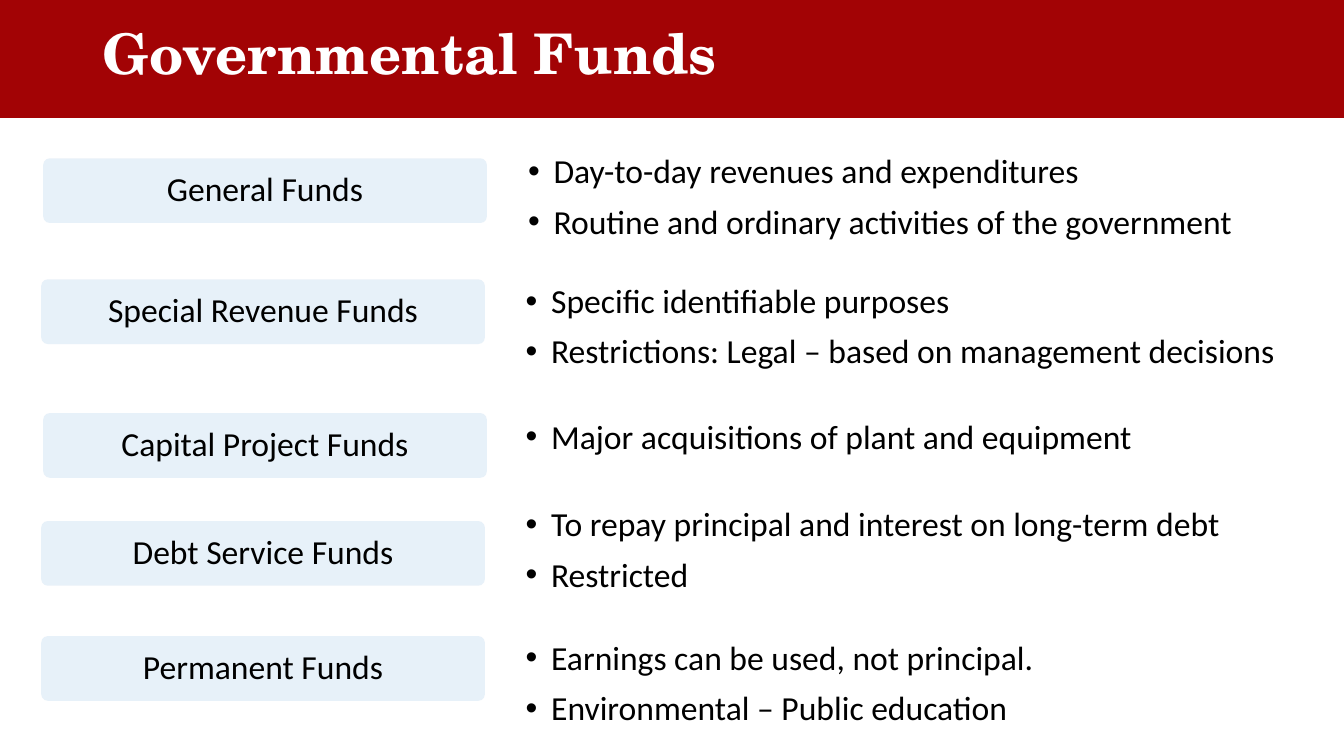
from lxml.etree import SubElement
from pptx import Presentation
from pptx.dml.color import RGBColor
from pptx.enum.shapes import MSO_SHAPE
from pptx.enum.text import MSO_ANCHOR, MSO_AUTO_SIZE, PP_ALIGN
from pptx.oxml.ns import qn
from pptx.util import Cm, Pt

RED = RGBColor(0xA2, 0x03, 0x05)
BLUE = RGBColor(0xBD, 0xD7, 0xEE)
BLACK = RGBColor(0, 0, 0)
WHITE = RGBColor(0xFF, 0xFF, 0xFF)

WIDTH, HEIGHT = 33.87, 19.05

# Fund, label left and top, list left and top (cm), points
FUNDS = [
    ("General Funds", (1.09, 3.99), (13.06, 3.78),
     ["Day-to-day revenues and expenditures",
      "Routine and ordinary activities of the government"]),
    ("Special Revenue Funds", (1.04, 7.04), (13, 7.04),
     ["Specific identifiable purposes",
      "Restrictions: Legal – based on management decisions"]),
    ("Capital Project Funds", (1.09, 10.41), (13, 10.46),
     ["Major acquisitions of plant and equipment"]),
    ("Debt Service Funds", (1.04, 13.13), (13, 12.67),
     ["To repay principal and interest on long-term debt", "Restricted"]),
    ("Permanent Funds", (1.04, 16.03), (13, 16.03),
     ["Earnings can be used, not principal.",
      "Environmental – Public education"]),
]


def style(para, size, color, font="Calibri", bold=False):
    para.line_spacing = 0.9
    for run in para.runs:
        run.font.name = font
        run.font.size = Pt(size)
        run.font.bold = bold
        run.font.color.rgb = color


def header(slide, text, left, top, width, height):
    # Red band, placed behind the title
    band = slide.shapes.add_shape(MSO_SHAPE.RECTANGLE, Cm(left), Cm(top),
                                  Cm(width), Cm(height))
    band.shadow.inherit = False
    band.fill.solid()
    band.fill.fore_color.rgb = RED
    band.line.color.rgb = RED
    band.line.width = Pt(1)
    slide.shapes.title._element.addprevious(band._element)

    # Title
    title = slide.shapes.title
    title.left, title.top = Cm(left + 2.34), Cm(top)
    title.width, title.height = Cm(width - 4.66), Cm(height - 0.13)
    frame = title.text_frame
    frame.text = text
    frame.auto_size = MSO_AUTO_SIZE.NONE
    frame.vertical_anchor = MSO_ANCHOR.MIDDLE
    para = frame.paragraphs[0]
    para.alignment = PP_ALIGN.LEFT
    style(para, 40, WHITE, "TeX Gyre Schola", True)


def label(slide, text, left, top, width, height):
    box = slide.shapes.add_shape(MSO_SHAPE.ROUNDED_RECTANGLE, Cm(left),
                                 Cm(top), Cm(width), Cm(height))
    box.adjustments[0] = 0.1
    box.shadow.inherit = False
    box.line.fill.background()
    box.fill.solid()
    box.fill.fore_color.rgb = BLUE
    tint = box._element.spPr.find(".//" + qn("a:srgbClr"))
    SubElement(tint, qn("a:alpha"), val="35000")

    frame = box.text_frame
    frame.text = text
    frame.word_wrap = True
    frame.vertical_anchor = MSO_ANCHOR.MIDDLE
    para = frame.paragraphs[0]
    para.alignment = PP_ALIGN.CENTER
    style(para, 24, BLACK)


def bullets(slide, points, left, top, width):
    height = 0.42 + 1.21 * len(points)
    box = slide.shapes.add_textbox(Cm(left), Cm(top), Cm(width), Cm(height))
    frame = box.text_frame
    frame.word_wrap = True
    frame.text = "\n".join(points)
    for index, para in enumerate(frame.paragraphs):
        props = para._p.get_or_add_pPr()
        props.set("marL", str(Cm(0.64)))
        props.set("indent", str(-Cm(0.64)))
        SubElement(props, qn("a:buFont"), typeface="Arial")
        SubElement(props, qn("a:buChar"), char="•")
        if index:
            para.space_before = Pt(10)
        style(para, 24, BLACK)


def main():
    deck = Presentation()
    deck.slide_width, deck.slide_height = Cm(WIDTH), Cm(HEIGHT)
    slide = deck.slides.add_slide(deck.slide_layouts.get_by_name("Title Only"))

    header(slide, "Governmental Funds", 0, 0, WIDTH, 2.95)
    for name, spot, place, points in FUNDS:
        label(slide, name, *spot, 11.18, 1.63)
        bullets(slide, points, *place, 19.76)

    deck.save("out.pptx")


if __name__ == "__main__":
    main()
